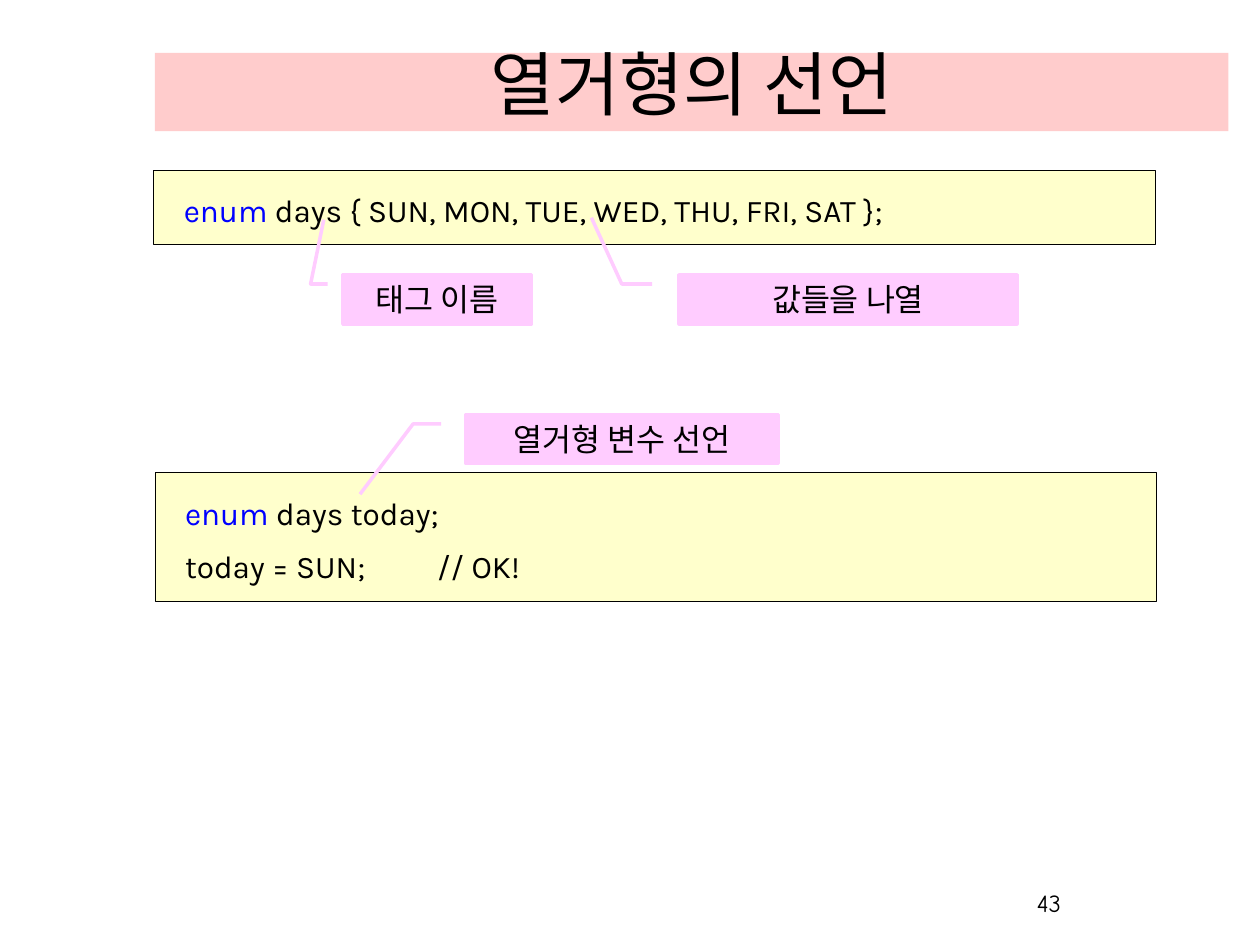
from pptx import Presentation
from pptx.dml.color import RGBColor
from pptx.enum.shapes import MSO_SHAPE as Shape
from pptx.enum.text import MSO_ANCHOR as Anchor, PP_ALIGN as Align
from pptx.util import Inches, Pt

BLACK = RGBColor(0x00, 0x00, 0x00)
BLUE = RGBColor(0x00, 0x00, 0xFF)
ROSE = RGBColor(0xFF, 0xCC, 0xCC)
CREAM = RGBColor(0xFF, 0xFF, 0xCC)
PINK = RGBColor(0xFF, 0xCC, 0xFF)

deck = Presentation()
deck.slide_width, deck.slide_height = Inches(10), Inches(7.5)
slide = deck.slides.add_slide(deck.slide_layouts[6])


def write(frame, lines, *, font, size=18, align=Align.CENTER,
          anchor=Anchor.MIDDLE, spacing=None, indent=0):
    frame.word_wrap = True
    frame.vertical_anchor = anchor
    for row, line in enumerate(lines):
        paragraph = frame.add_paragraph() if row else frame.paragraphs[0]
        paragraph.alignment = align
        if spacing:
            paragraph.line_spacing = spacing
        if indent:
            properties = paragraph._p.get_or_add_pPr()
            properties.set("marL", str(Inches(indent)))
            properties.set("indent", "0")
            properties.set("defTabSz", str(Inches(1)))
        for text, color in line:
            run = paragraph.add_run()
            run.text = text
            run.font.name = font
            run.font.size = Pt(size)
            run.font.color.rgb = color


def add_box(preset, bounds, fill, line=None, width=0):
    box = slide.shapes.add_shape(preset, *map(Inches, bounds))
    box.shadow.inherit = False
    box.fill.solid()
    box.fill.fore_color.rgb = fill
    if line is None:
        box.line.fill.background()
    else:
        box.line.color.rgb = line
        box.line.width = Pt(width)
    return box


title = add_box(Shape.RECTANGLE, (1.23, 0.42, 8.52, 0.62), ROSE)
write(title.text_frame, [[("열거형의 선언", BLACK)]], font="Comic Neue", size=40,
      anchor=Anchor.BOTTOM)

code_blocks = [
    ((1.22, 1.35, 7.95, 0.59),
     [[("enum", BLUE), (" days { SUN, MON, TUE, WED, THU, FRI, SAT };", BLACK)]]),
    ((1.23, 3.75, 7.95, 1.02),
     [[("enum", BLUE), (" days today;", BLACK)],
      [("today = SUN;\t// OK!", BLACK)]]),
]
for bounds, lines in code_blocks:
    code = add_box(Shape.RECTANGLE, bounds, CREAM, BLACK, 0.33)
    write(code.text_frame, lines, font="Karla", align=Align.LEFT,
          anchor=Anchor.TOP, spacing=1.4, indent=0.14)

callouts = [
    ("태그 이름", 2.72, 2.18, 1.5, (-1.12, -0.1)),
    ("값들을 나열", 5.39, 2.18, 2.68, (-1.16, -0.26)),
    ("열거형 변수 선언", 3.7, 3.29, 2.48, (1.62, -0.34)),
]
for label, left, top, width, target in callouts:
    callout = add_box(Shape.LINE_CALLOUT_2, (left, top, width, 0.39), PINK, PINK, 2)
    for index, value in enumerate((0.19, -0.08, 0.19, -0.17, *target)):
        callout.adjustments[index] = value
    write(callout.text_frame, [[(label, BLACK)]], font="Noto Sans CJK KR")

page_number = slide.shapes.add_textbox(*map(Inches, (6.44, 7, 2.08, 0.5)))
write(page_number.text_frame, [[("43", BLACK)]], font="Comic Neue", size=14,
      align=Align.RIGHT, anchor=Anchor.TOP)

deck.save("out.pptx")
